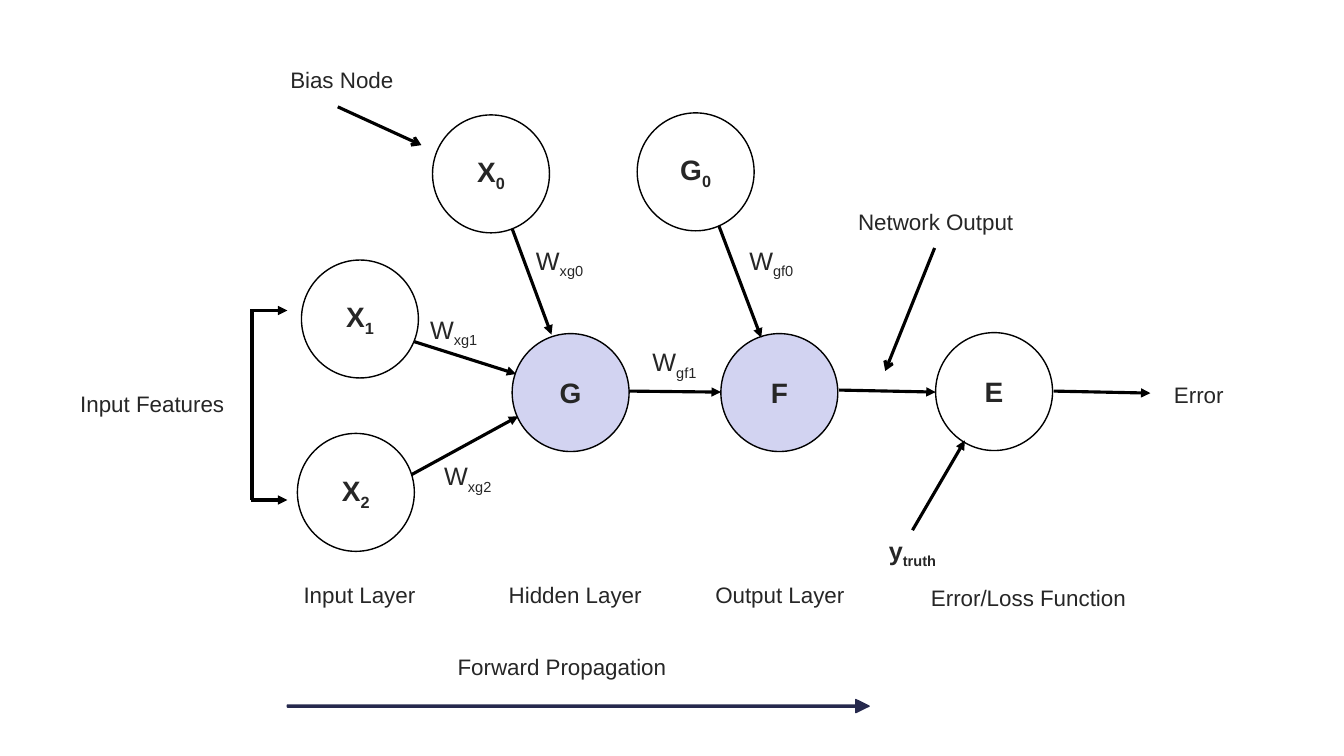
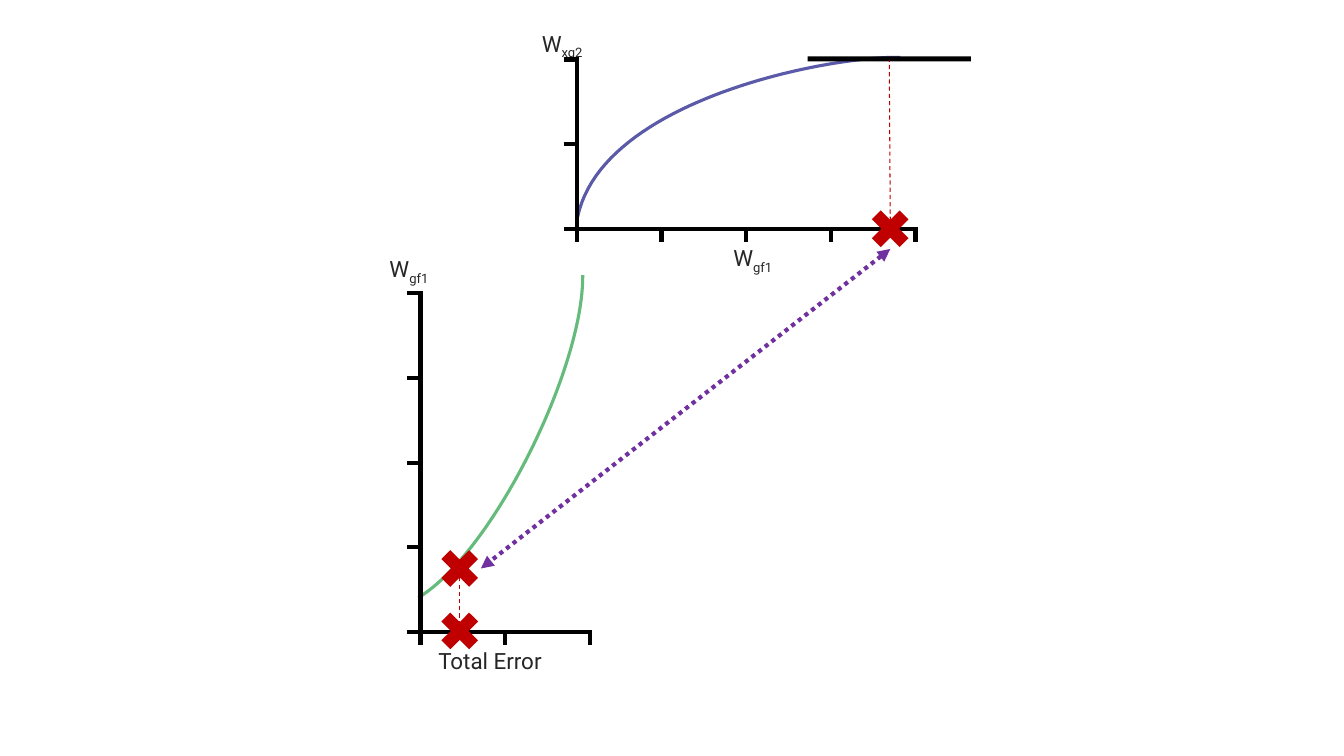
from dataclasses import dataclass

from lxml import etree
from pptx import Presentation
from pptx.dml.color import RGBColor
from pptx.enum.dml import MSO_LINE
from pptx.enum.shapes import MSO_CONNECTOR, MSO_SHAPE
from pptx.enum.text import MSO_ANCHOR, PP_ALIGN
from pptx.oxml.ns import qn
from pptx.util import Inches, Pt

STRAIGHT = MSO_CONNECTOR.STRAIGHT
OVAL, CROSS = MSO_SHAPE.OVAL, MSO_SHAPE.MATH_MULTIPLY
RECT, ARROW = MSO_SHAPE.RECTANGLE, MSO_SHAPE.RIGHT_ARROW
CENTER, LEFT, MIDDLE = PP_ALIGN.CENTER, PP_ALIGN.LEFT, MSO_ANCHOR.MIDDLE
DASH, DOTS = MSO_LINE.DASH, MSO_LINE.ROUND_DOT


@dataclass(frozen=True)
class Theme:
    sans: str = "Arial"
    plot_font: str = "Roboto"
    text: str = "262626"
    black: str = "000000"
    white: str = "FFFFFF"
    active: str = "D2D3F1"
    navy: str = "26294D"
    green: str = "65BB7B"
    violet: str = "5A5AA8"
    purple: str = "7030A0"
    red: str = "C00000"
    label_size: int = 16
    weight_size: int = 18
    node_size: int = 20
    thin: float = 0.75
    outline: float = 1
    stroke: float = 2.25
    axis: float = 3


T = Theme()


def rgb(color):
    return RGBColor.from_string(color)


def write(tf, text, sub="", size=T.label_size, font=T.sans, bold=False,
          align=CENTER, spacing=1.0):
    """Write one paragraph: a run of text and an optional subscript run."""
    tf.word_wrap = True
    p = tf.paragraphs[0]
    p.alignment, p.line_spacing = align, spacing
    for part in filter(None, (text, sub)):
        r = p.add_run()
        r.text = part
        r.font.size, r.font.name, r.font.bold = Pt(size), font, bold
        r.font.color.rgb = rgb(T.text)
        if part == sub:
            r.font._element.set("baseline", "-25000")


def add_label(s, x, y, w, h, text, sub="", **style):
    box = s.shapes.add_textbox(Inches(x), Inches(y), Inches(w), Inches(h))
    write(box.text_frame, text, sub, **style)


def add_shape(s, kind, x, y, w, h, fill, line=None):
    sp = s.shapes.add_shape(kind, Inches(x), Inches(y), Inches(w), Inches(h))
    sp.shadow.inherit = False
    sp.fill.solid()
    sp.fill.fore_color.rgb = rgb(fill)
    if line:
        sp.line.color.rgb = rgb(line)
        sp.line.width = Pt(T.outline)
    else:
        sp.line.fill.background()
    return sp


def add_line(s, x1, y1, x2, y2, color=T.black, width=T.stroke, dash=None,
             head=None, tail=None):
    c = s.shapes.add_connector(STRAIGHT, Inches(x1), Inches(y1),
                               Inches(x2), Inches(y2))
    c.line.color.rgb = rgb(color)
    c.line.width = Pt(width)
    if dash:
        c.line.dash_style = dash
    sp_pr = c._element.spPr
    ln = sp_pr.find(qn("a:ln"))
    for tag, end in (("a:headEnd", head), ("a:tailEnd", tail)):
        if end:
            etree.SubElement(ln, qn(tag), type=end)
    etree.SubElement(sp_pr, qn("a:effectLst"))


def add_curve(s, points, color, steps=48):
    """Draw a cubic Bezier curve through its four control points."""
    def at(t):
        u = 1 - t
        weights = (u ** 3, 3 * u * u * t, 3 * u * t * t, t ** 3)
        return tuple(Inches(sum(k * pt[i] for k, pt in zip(weights, points)))
                     for i in (0, 1))

    start, *rest = [at(i / steps) for i in range(steps + 1)]
    builder = s.shapes.build_freeform(*start)
    builder.add_line_segments(rest, close=False)
    sp = builder.convert_to_shape()
    sp.shadow.inherit = False
    sp.fill.background()
    sp.line.color.rgb = rgb(color)
    sp.line.width = Pt(T.stroke)


# Network diagram
def network(s, x, y):
    # Nodes
    for dx, dy, name, sub, fill in (
            (5.15, 2.31, "F", "", T.active), (3.08, 2.31, "G", "", T.active),
            (0.99, 1.58, "X", "1", T.white), (2.29, 0.14, "X", "0", T.white),
            (0.95, 3.3, "X", "2", T.white), (4.32, 0.12, "G", "0", T.white),
            (7.28, 2.3, "E", "", T.white)):
        node = add_shape(s, OVAL, x + dx, y + dy, 1.16, 1.17, fill, T.black)
        node.text_frame.vertical_anchor = MIDDLE
        write(node.text_frame, name, sub, T.node_size, bold=True)

    # Captions
    for dx, dy, text in ((-1.65, 2.82, "Input Features"),
                         (0.23, -0.39, "Bias Node"),
                         (6.12, 1.02, "Network Output"),
                         (8.73, 2.73, "Error")):
        add_label(s, x + dx, y + dy, 2.32, 0.65, text)

    # Weights and target
    for dx, dy, sub in ((3.53, 2.39, "gf1"), (4.49, 1.38, "gf0"),
                        (2.39, 1.38, "xg0"), (1.34, 2.07, "xg1"),
                        (1.48, 3.52, "xg2")):
        add_label(s, x + dx, y + dy, 2.32, 0.65, "W", sub, size=T.weight_size)
    add_label(s, x + 5.89, y + 4.26, 2.32, 0.65, "y", "truth",
              size=T.weight_size, bold=True)

    # Signal arrows, then pointers from captions
    signals = ((4.24, 2.88, 5.15, 2.89), (6.32, 2.87, 7.28, 2.89),
               (8.45, 2.88, 9.41, 2.9), (3.08, 1.27, 3.47, 2.32),
               (5.13, 1.24, 5.55, 2.35), (7.05, 4.26, 7.57, 3.37),
               (2.08, 3.71, 3.14, 3.13), (2.11, 2.39, 3.12, 2.71))
    pointers = ((1.35, 0.06, 2.18, 0.44), (7.27, 1.46, 6.78, 2.68))
    for group, tail in ((signals, "triangle"), (pointers, "arrow")):
        for x1, y1, x2, y2 in group:
            add_line(s, x + x1, y + y1, x + x2, y + y2, tail=tail)

    # Input bracket
    for dy in (2.08, 3.96):
        add_line(s, x + 0.49, y + dy, x + 0.85, y + dy, tail="triangle")
    add_line(s, x + 0.5, y + 3.96, x + 0.5, y + 2.07)


# Layer names and direction of flow
def layer_footer(s, x, y):
    for dx, dy, w, text in ((0, 0, 1.45, "Input Layer"),
                            (2.04, 0, 1.65, "Hidden Layer"),
                            (4.07, 0, 1.65, "Output Layer"),
                            (6.2, 0.03, 2.32, "Error/Loss Function")):
        add_label(s, x + dx, y + dy, w, 0.65, text, spacing=0.9)
    add_label(s, x + 1.6, y + 0.71, 3, 0.65, "Forward Propagation",
              align=LEFT, spacing=0.9)
    flow = add_shape(s, ARROW, x + 0.01, y + 1.19, 5.77, 0.13, T.navy, T.navy)
    flow.adjustments[0], flow.adjustments[1] = 0.154, 1.019


# Plot with its origin at (x, y); inner points are measured right and up
def plot(s, x, y, columns, rows, curve, color, labels):
    step, tick = 0.84, 0.13
    for dx, up, w, text, sub in labels:
        add_label(s, x + dx, y - up, w, 0.47, text, sub,
                  font=T.plot_font, spacing=0.9)
    add_curve(s, [(x + dx, y - up) for dx, up in curve], color)
    right, top = x + columns * step, y - rows * step
    add_line(s, x, top - 0.02, x, y + tick, width=T.axis)
    add_line(s, right + 0.02, y, x - tick, y, width=T.axis)
    for i in range(1, rows + 1):
        add_line(s, x - tick, y - i * step, x, y - i * step, width=T.axis)
    for i in range(1, columns + 1):
        add_line(s, x + i * step, y, x + i * step, y + tick, width=T.axis)


def add_cross(s, x, y, size=0.53):
    add_shape(s, CROSS, x - size / 2, y - size / 2, size, size, T.red)


def error_plot(s, x, y):
    plot(s, x, y, 2, 4,
         ((-0.02, 0.34), (0.73, 0.8), (1.62, 2.63), (1.61, 3.54)), T.green,
         ((-0.51, 3.78, 0.79, "W", "gf1"),
          (0.06, -0.13, 1.26, "Total Error", "")))
    for up in (0.01, 0.63):
        add_cross(s, x + 0.39, y - up)
    add_line(s, x + 0.39, y, x + 0.39, y - 0.63, T.red, T.thin, DASH)


def weight_plot(s, x, y):
    plot(s, x, y, 4, 2,
         ((0.01, 0.12), (0.26, 1.29), (2.53, 1.72), (3.21, 1.7)), T.violet,
         ((1.35, -0.11, 0.79, "W", "gf1"), (-0.54, 2.02, 0.79, "W", "xg2")))
    add_cross(s, x + 3.11, y)
    # Tangent at the maximum
    add_shape(s, RECT, x + 2.29, y - 1.71, 1.62, 0.05, T.black)
    add_line(s, x + 3.11, y - 0.08, x + 3.1, y - 1.67, T.red, T.thin, DASH)


def network_slide(s):
    network(s, 2, 1)
    layer_footer(s, 2.84, 5.75)


def plots_slide(s):
    error_plot(s, 4.17, 6.27)
    weight_plot(s, 5.72, 2.27)
    # Link between the matching weights
    add_line(s, 8.83, 2.47, 4.77, 5.64, T.purple, T.axis, DOTS,
             head="triangle", tail="triangle")


def main():
    prs = Presentation()
    prs.slide_width, prs.slide_height = Inches(13.33), Inches(7.5)
    for build in (network_slide, plots_slide):
        build(prs.slides.add_slide(prs.slide_layouts[6]))
    prs.save("out.pptx")


if __name__ == "__main__":
    main()
